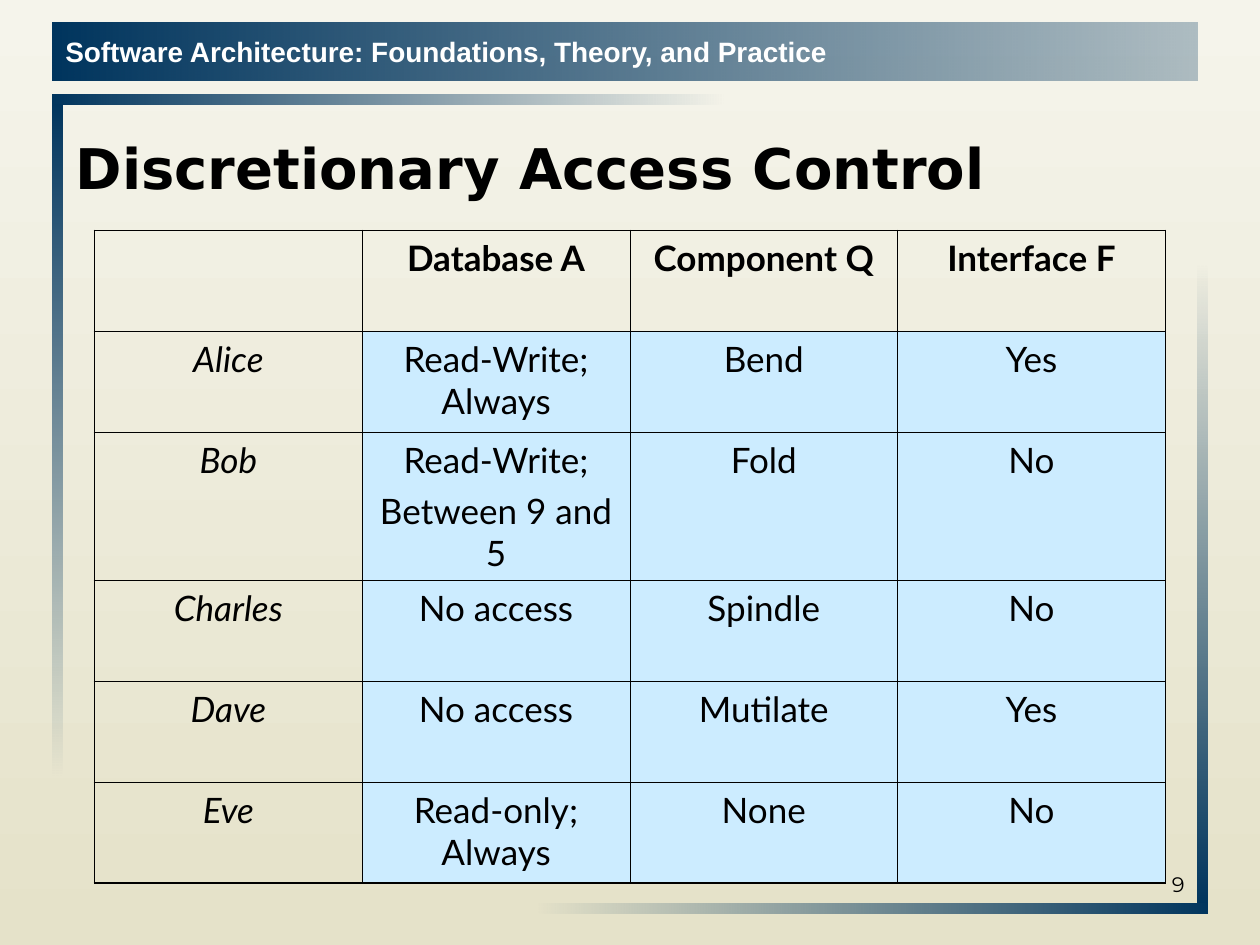
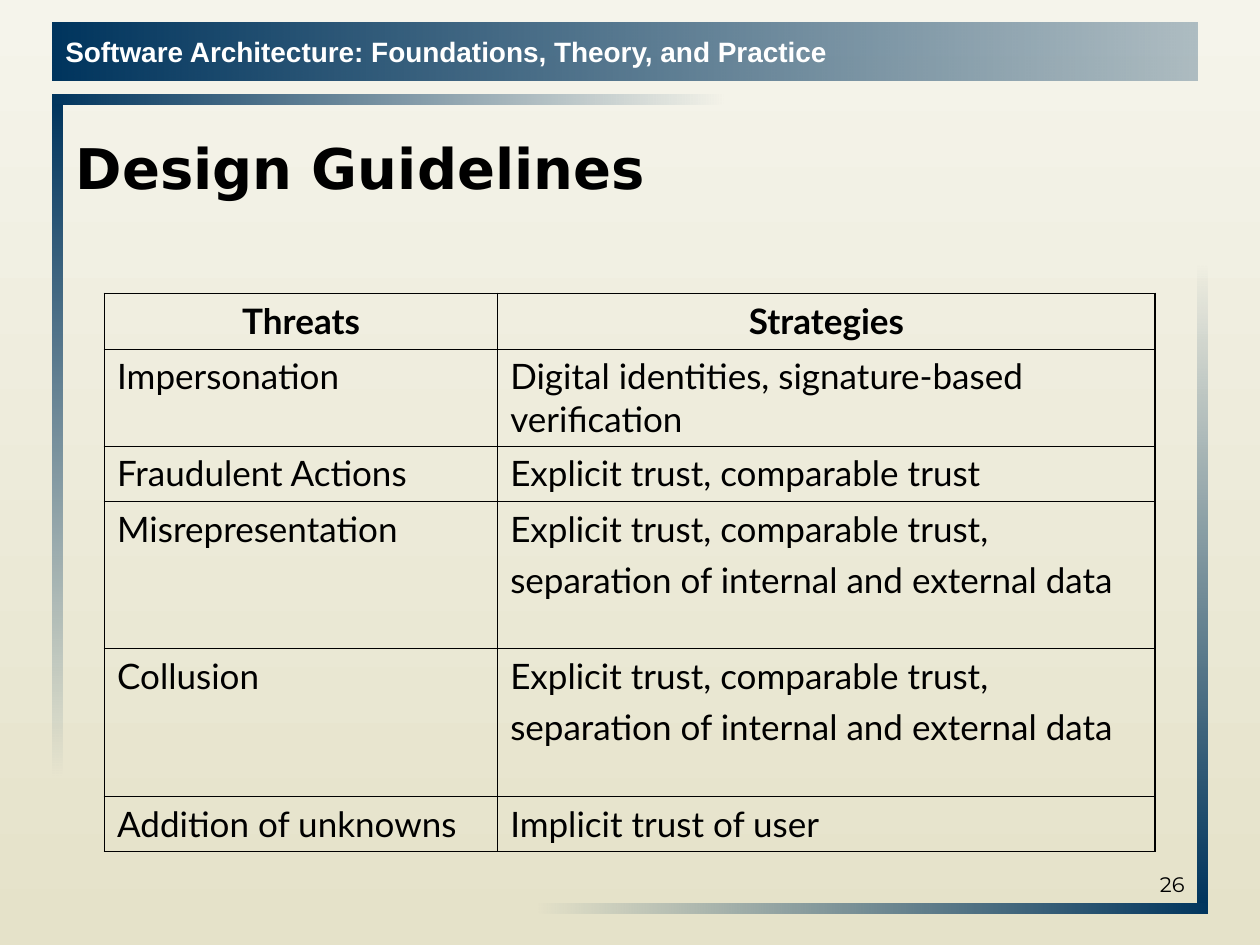
"""Build two slides on access control and trust design, with a shared frame."""
from dataclasses import dataclass

from pptx import Presentation
from pptx import util as u
from pptx.dml.color import RGBColor
from pptx.enum import shapes, text
from pptx.oxml import ns
from lxml import etree

LEFT, MID, RIGHT = text.PP_ALIGN.LEFT, text.PP_ALIGN.CENTER, text.PP_ALIGN.RIGHT


@dataclass(frozen=True)
class Theme:
    """Colours, fonts and line widths."""
    navy: str = "00355E"
    sky: str = "CCECFF"
    ink: str = "000000"
    top: str = "F5F4EB"
    base: str = "E5E2C9"
    inner: float = 0.45
    outer: float = 1.08
    gap: float = 5
    banner = dict(name="Arial", size=16, bold=True, color="FFFFFF")
    title = dict(name="DejaVu Sans", size=32, bold=True, color="000000")
    page = dict(name="Montserrat", size=12, color="000000")
    body = dict(name="Lato", size=20, bold=False, italic=False, color="000000")


T = Theme()
COURSE = "Software Architecture: Foundations, Theory, and Practice"
BANNER = (0.42, 0.18, 9.08, 0.46)
BARS = (
    ((0.42, 0.75, 5.33, 0.08), 0, (100, 0)),
    ((0.42, 0.83, 0.08, 5.33), 270, (100, 0)),
    ((4.25, 7.17, 5.33, 0.08), 0, (0, 100)),
    ((9.5, 2.08, 0.08, 5.08), 270, (0, 100)),
)
TITLE = (0.5, 0.83, 9, 1)
PAGE = (7.17, 6.67, 2.33, 0.5)

ACCESS = (
    ("", "Database A", "Component Q", "Interface F"),
    ("Alice", "Read-Write; Always", "Bend", "Yes"),
    ("Bob", "Read-Write;\nBetween 9 and 5", "Fold", "No"),
    ("Charles", "No access", "Spindle", "No"),
    ("Dave", "No access", "Mutilate", "Yes"),
    ("Eve", "Read-only; Always", "None", "No"),
)
SPLIT = "Explicit trust, comparable trust,\nseparation of internal and external data"
THREATS = (
    ("Threats", "Strategies"),
    ("Impersonation", "Digital identities, signature-based verification"),
    ("Fraudulent Actions", "Explicit trust, comparable trust"),
    ("Misrepresentation", SPLIT),
    ("Collusion", SPLIT),
    ("Addition of unknowns", "Implicit trust of user"),
)


def inches(box):
    """Turn a box of numbers into lengths."""
    return [u.Inches(n) for n in box]


def style(font, look):
    """Apply a dict of format values to a font."""
    for key, val in look.items():
        if key == "color":
            font.color.rgb = RGBColor.from_string(val)
        else:
            setattr(font, key, u.Pt(val) if key == "size" else val)


def write(frame, words, look, align=LEFT):
    """Fill a text frame, one paragraph for each line."""
    frame.text = words
    for i, para in enumerate(frame.paragraphs):
        para.alignment = align
        para.space_before = u.Pt(T.gap if i else 0)
        style(para.font, look)


def blend(fill, tones, angle):
    """Set a two-stop linear gradient."""
    fill.gradient()
    fill.gradient_angle = angle
    for stop, tone in zip(fill.gradient_stops, tones):
        stop.color.rgb = RGBColor.from_string(tone)


def add_bar(slide, box, angle, fade):
    """Add a navy bar whose opacity runs between two percentages."""
    bar = slide.shapes.add_shape(shapes.MSO_SHAPE.RECTANGLE, *inches(box))
    bar.shadow.inherit = False
    bar.line.fill.background()
    blend(bar.fill, (T.navy, T.navy), angle)
    stops = bar.element.spPr.iter(ns.qn("a:srgbClr"))
    for tone, share in zip(stops, fade):
        etree.SubElement(tone, ns.qn("a:alpha"), val=str(share * 1000))
    return bar


def add_frame(slide, page):
    """Draw the background, banner, corner bars and page number."""
    blend(slide.background.fill, (T.top, T.base), 270)
    frame = add_bar(slide, BANNER, 0, (100, 29)).text_frame
    frame.word_wrap = False
    frame.vertical_anchor = text.MSO_ANCHOR.MIDDLE
    write(frame, COURSE, T.banner)
    for bar in BARS:
        add_bar(slide, *bar)
    frame = slide.shapes.add_textbox(*inches(PAGE)).text_frame
    frame.word_wrap = True
    frame.vertical_anchor = text.MSO_ANCHOR.BOTTOM
    write(frame, str(page), T.page, RIGHT)


def add_title(slide, words):
    """Place and format the title placeholder."""
    title = slide.shapes.title
    for key, val in zip(("left", "top", "width", "height"), inches(TITLE)):
        setattr(title, key, val)
    frame = title.text_frame
    frame.auto_size = text.MSO_AUTO_SIZE.NONE
    frame.vertical_anchor = text.MSO_ANCHOR.MIDDLE
    write(frame, words, T.title)


def add_edges(cell, outer):
    """Draw the left, right, top and bottom borders of a cell."""
    props = cell._tc.get_or_add_tcPr()
    for i, (side, rim) in enumerate(zip("LRTB", outer)):
        width = u.Pt(T.outer if rim else T.inner)
        line = etree.Element(ns.qn("a:ln" + side), w=str(int(width)))
        solid = etree.SubElement(line, ns.qn("a:solidFill"))
        etree.SubElement(solid, ns.qn("a:srgbClr"), val=T.ink)
        props.insert(i, line)


def add_grid(slide, spot, data, cols, rows, look):
    """Add a table; look gives the format, alignment and fill of each cell."""
    box = (*spot, sum(cols), sum(rows))
    grid = slide.shapes.add_table(len(rows), len(cols), *inches(box)).table
    grid.first_row = grid.horz_banding = False
    for col, width in zip(grid.columns, cols):
        col.width = u.Inches(width)
    for r, (row, height) in enumerate(zip(data, rows)):
        grid.rows[r].height = u.Inches(height)
        for c, words in enumerate(row):
            cell = grid.cell(r, c)
            font, align, tone = look(r, c)
            write(cell.text_frame, words, T.body | font, align)
            if tone:
                cell.fill.solid()
                cell.fill.fore_color.rgb = RGBColor.from_string(tone)
            else:
                cell.fill.background()
            add_edges(cell, (c == 0, c == len(cols) - 1, r == 0, r == len(rows) - 1))


def access_look(r, c):
    """Bold heads, italic names and shaded rights, all centred."""
    tone = T.sky if r and c else None
    return dict(bold=r == 0, italic=c == 0), MID, tone


def threat_look(r, c):
    """Bold centred heads over plain left-aligned rows."""
    return dict(bold=r == 0), LEFT if r else MID, None


def add_slide(deck, title, page, *grid):
    """Add a framed slide with a title and one table."""
    slide = deck.slides.add_slide(deck.slide_layouts.get_by_name("Title Only"))
    add_frame(slide, page)
    add_title(slide, title)
    add_grid(slide, *grid)


def main():
    """Build and save the deck."""
    deck = Presentation()
    deck.slide_width, deck.slide_height = inches((10, 7.5))
    add_slide(deck, "Discretionary Access Control", 9, (0.75, 1.83), ACCESS,
              [8.5 / 4] * 4, (0.8, 0.8, 1.18, 0.8, 0.8, 0.8), access_look)
    add_slide(deck, "Design Guidelines", 26, (0.83, 2.33), THREATS,
              (3.12, 5.22), (0.44, 0.77, 0.44, 1.17, 1.17, 0.44), threat_look)
    deck.save("out.pptx")


if __name__ == "__main__":
    main()
